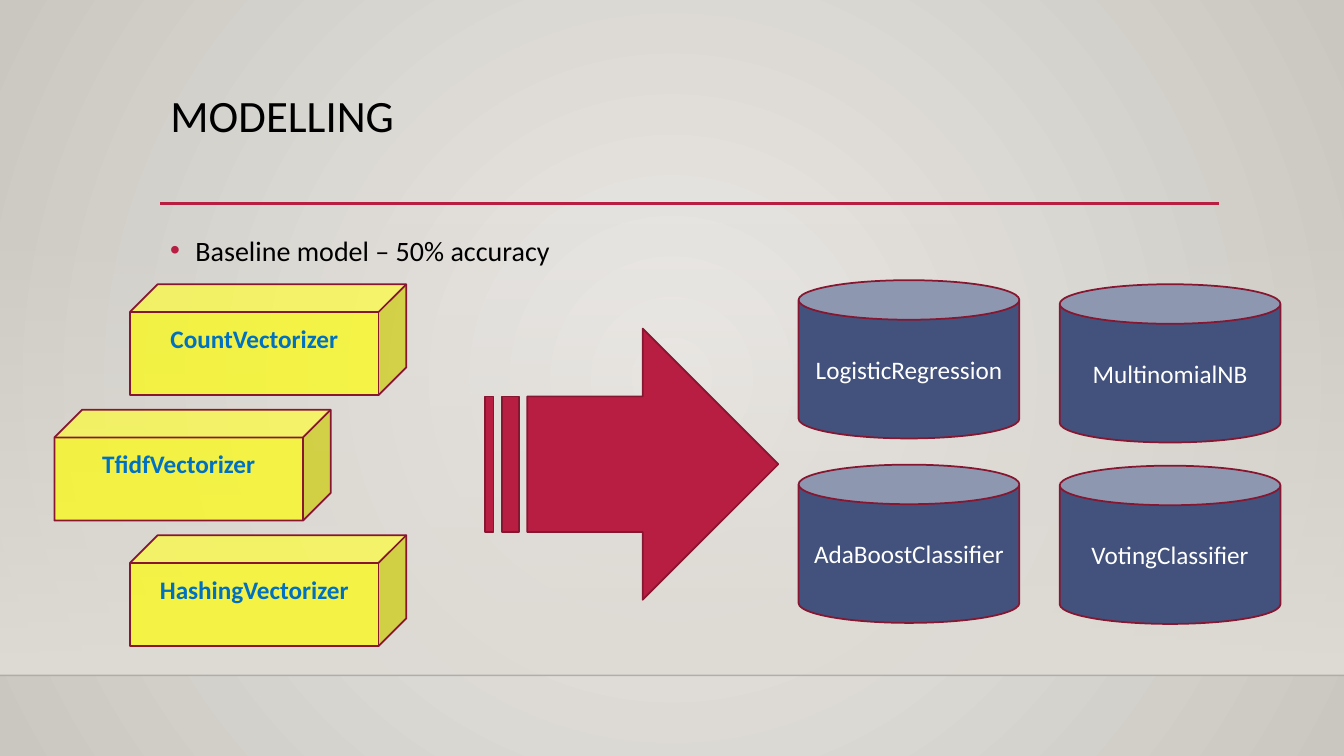
from dataclasses import dataclass

from lxml import etree
from pptx import Presentation
from pptx import util as u
from pptx.dml.color import RGBColor
from pptx.enum import shapes, text
from pptx.oxml.ns import qn

# Content
TITLE = "MODELLING"
BASELINE = "Baseline model \u2013 50% accuracy"
VECTORIZERS = ["CountVectorizer", "TfidfVectorizer", "HashingVectorizer"]
CLASSIFIERS = [["LogisticRegression", "AdaBoostClassifier"],
               ["MultinomialNB", "VotingClassifier"]]


@dataclass(frozen=True)
class Theme:
    font: str = "Calibri"
    ink: str = "000000"
    accent: str = "B71E42"
    outline: str = "871631"
    cube: str = "FFFF00"
    cube_text: str = "0070C0"
    can: str = "42527C"
    can_text: str = "FFFFFF"
    glow: str = "ECEAE7"
    edge: str = "CAC7C1"
    floor: str = "DFDBD5"
    floor_line: str = "000001"
    title_size: int = 32
    body_size: int = 20
    label_size: int = 18


theme = Theme()
WIDTH, HEIGHT = 13.33, 7.5
LEFT, COLUMN, FLOOR = 1.59, 10.5, 6.7

deck = Presentation()
deck.slide_width, deck.slide_height = u.Inches(WIDTH), u.Inches(HEIGHT)
slide = deck.slides.add_slide(deck.slide_layouts[5])


def color(code):
    return RGBColor.from_string(code)


def box(*lengths):
    return [u.Inches(length) for length in lengths]


def set_alpha(parent, percent):
    """Make the colour held by parent partly transparent."""
    rgb = next(parent.iter(qn("a:srgbClr")))
    etree.SubElement(rgb, qn("a:alpha")).set("val", str(percent * 1000))


def gradient(fill, *codes):
    fill.gradient()
    for stop, code in zip(fill.gradient_stops, codes):
        stop.color.rgb = color(code)


def write(frame, words, size, code, align, anchor, bold=False):
    frame.word_wrap = True
    frame.auto_size = text.MSO_AUTO_SIZE.NONE
    frame.vertical_anchor = anchor
    paragraph = frame.paragraphs[0]
    paragraph.alignment = align
    run = paragraph.add_run()
    run.text = words
    run.font.name, run.font.size, run.font.bold = theme.font, u.Pt(size), bold
    run.font.color.rgb = color(code)
    return paragraph


def add_block(kind, place, fill):
    block = slide.shapes.add_shape(kind, *box(*place))
    block.shadow.inherit = False
    block.fill.solid()
    block.fill.fore_color.rgb = color(fill)
    block.line.color.rgb = color(theme.outline)
    block.line.width = u.Pt(1.25)
    return block


def add_rule(left, right, y, code, width):
    rule = slide.shapes.add_connector(shapes.MSO_CONNECTOR.STRAIGHT, *box(left, y, right, y))
    rule.line.color.rgb = color(code)
    rule.line.width = u.Pt(width)
    etree.SubElement(rule.element.spPr, qn("a:effectLst"))
    return rule


def add_label(block, words, code, bold=False):
    write(block.text_frame, words, theme.label_size, code,
          text.PP_ALIGN.CENTER, text.MSO_ANCHOR.MIDDLE, bold)


# Background with a round glow
gradient(slide.background.fill, theme.glow, theme.edge)
linear = next(slide.element.iter(qn("a:lin")))
glow = etree.Element(qn("a:path"), path="circle")
etree.SubElement(glow, qn("a:fillToRect"), l="50000", t="50000", r="50000", b="50000")
linear.getparent().replace(linear, glow)

# Wall fading in towards the floor line
WALL_TOP = 2.21
wall = slide.shapes.add_shape(shapes.MSO_SHAPE.RECTANGLE,
                              *box(0, WALL_TOP, WIDTH, FLOOR - WALL_TOP))
wall.shadow.inherit = False
wall.line.fill.background()
gradient(wall.fill, theme.floor, theme.floor)
wall.fill.gradient_angle = 270
set_alpha(wall.element.spPr, 0)
floor_line = add_rule(0, WIDTH, FLOOR, theme.floor_line, 1)
set_alpha(floor_line.element.spPr, 20)

# Title and its rule
heading = slide.shapes.title
heading.left, heading.top, heading.width, heading.height = box(LEFT, 0.88, COLUMN, 1.15)
write(heading.text_frame, TITLE, theme.title_size, theme.ink,
      text.PP_ALIGN.LEFT, text.MSO_ANCHOR.TOP).line_spacing = 0.9
add_rule(LEFT, LEFT + COLUMN, 2.02, theme.accent, 2.5)

# Baseline bullet
baseline = slide.shapes.add_textbox(*box(LEFT, 2.2, COLUMN, 0.57))
bullet = write(baseline.text_frame, BASELINE, theme.body_size, theme.ink,
               text.PP_ALIGN.LEFT, text.MSO_ANCHOR.TOP)
bullet.line_spacing, bullet.space_before = 1.2, u.Pt(10)
props = bullet._p.get_or_add_pPr()
props.set("marL", str(u.Inches(0.25)))
props.set("indent", str(u.Inches(-0.25)))
bullet_color = etree.SubElement(props, qn("a:buClr"))
etree.SubElement(bullet_color, qn("a:srgbClr"), val=theme.accent)
etree.SubElement(props, qn("a:buFont"), typeface="Arial")
etree.SubElement(props, qn("a:buChar"), char="\u2022")

# Vectorizers: staggered cubes, labels raised above the middle
for row, name in enumerate(VECTORIZERS):
    left = 1.29 - 0.75 * (row % 2)
    cube = add_block(shapes.MSO_SHAPE.CUBE, (left, 2.82 + 1.245 * row, 2.74, 1.1), theme.cube)
    set_alpha(cube.element.spPr, 67)
    cube.text_frame.margin_bottom = u.Inches(0.35)
    add_label(cube, name, theme.cube_text, bold=True)

# Arrow from vectorizers to classifiers
add_block(shapes.MSO_SHAPE.STRIPED_RIGHT_ARROW, (4.81, 3.26, 2.91, 2.69), theme.accent)

# Classifiers: two columns of cans, the second slightly lower
CAN_TOPS = [(2.78, 4.61), (2.82, 4.62)]
for column, (names, tops) in enumerate(zip(CLASSIFIERS, CAN_TOPS)):
    for name, top in zip(names, tops):
        can = add_block(shapes.MSO_SHAPE.CAN, (7.92 + 2.59 * column, top, 2.19, 1.57), theme.can)
        add_label(can, name, theme.can_text)

deck.save("out.pptx")
